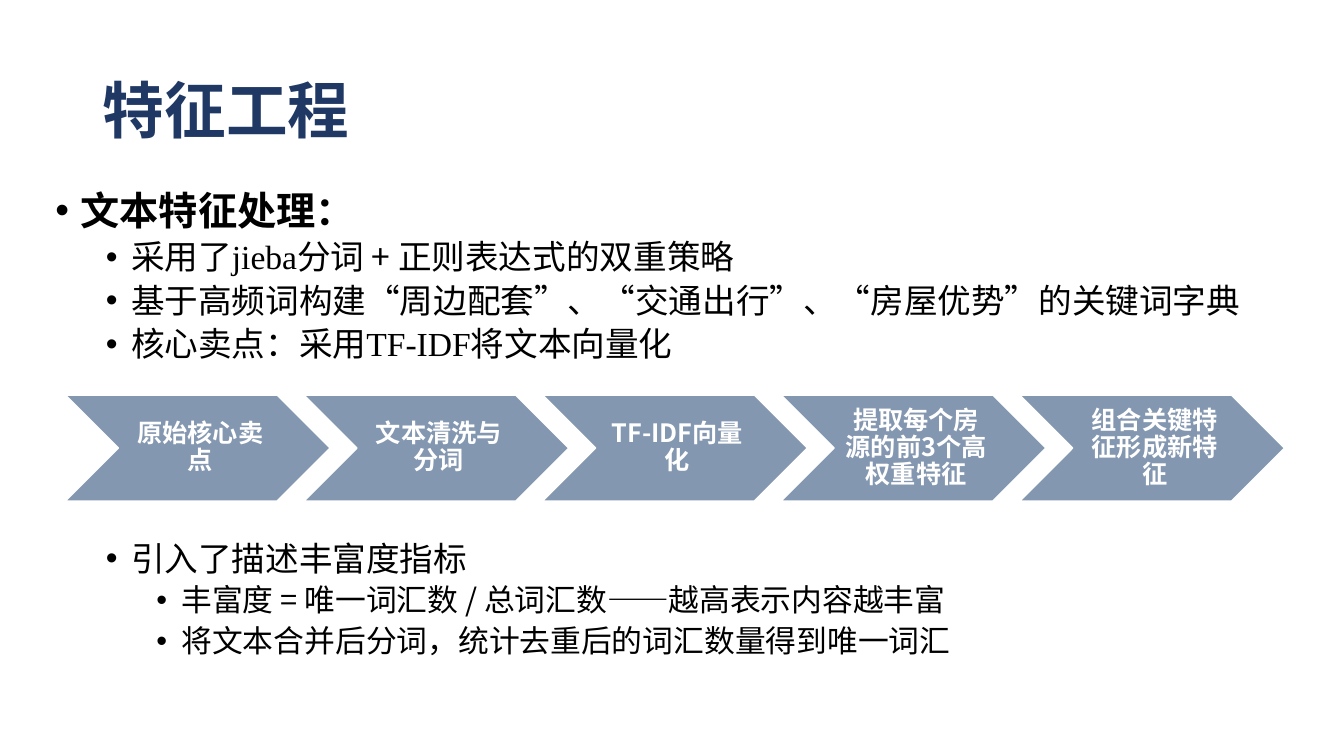
from lxml import etree
from pptx import Presentation
from pptx.dml.color import RGBColor
from pptx.enum import shapes, text
from pptx.oxml.ns import qn
from pptx.util import Inches, Pt

NAVY = RGBColor(0x20, 0x38, 0x64)
STEEL = RGBColor(0x84, 0x97, 0xB0)
BLACK = RGBColor(0, 0, 0)
WHITE = RGBColor(0xFF, 0xFF, 0xFF)
SANS = "Noto Sans CJK SC"
SERIF = "Times New Roman"
LINE_SPACING = 0.9

# Each point: level, text runs with their Latin font, space before in points
POINTS = [
    (0, [("文本特征处理：", SANS)], 10),
    (1, [("采用了", SANS), ("jieba", SERIF),
         ("分词 + 正则表达式的双重策略", SANS)], 5),
    (1, [("基于高频词构建“周边配套”、“交通出行”、“房屋优势”的关键词字典", SANS)], 5),
    (1, [("核心卖点：采用", SANS), ("TF-IDF", SERIF), ("将文本向量化", SANS)], 5),
    (1, [("引入了描述丰富度指标", SANS)], 127.5),  # leaves room for the flow
    (2, [("丰富度 = 唯一词汇数 / 总词汇数——越高表示内容越丰富", SANS)], 5),
    (2, [("将文本合并后分词，统计去重后的词汇数量得到唯一词汇", SANS)], 5),
]
LEVEL_SIZES = [28, 24, 22]
STEPS = ["原始核心卖点", "文本清洗与分词", "TF-IDF向量化",
         "提取每个房源的前3个高权重特征", "组合关键特征形成新特征"]


def add_text(paragraph, words, size, color=BLACK, bold=False, font=SANS):
    paragraph.line_spacing = LINE_SPACING
    run = paragraph.add_run()
    run.text = words
    run.font.size = Pt(size)
    run.font.bold = bold
    run.font.color.rgb = color
    run.font.name = font
    properties = run._r.get_or_add_rPr()
    properties.set("lang", "zh-CN")
    latin = properties.find(qn("a:latin"))
    east_asian = etree.Element(qn("a:ea"), typeface=SANS)
    latin.addnext(east_asian)


def place(part, left, top, width, height):
    part.left, part.top = Inches(left), Inches(top)
    part.width, part.height = Inches(width), Inches(height)


def set_bullet(paragraph, level):
    properties = paragraph._p.get_or_add_pPr()
    properties.set("marL", str(Inches(0.25 + 0.5 * level)))
    properties.set("indent", str(Inches(-0.25)))
    etree.SubElement(properties, qn("a:buFont"), typeface="Arial")
    etree.SubElement(properties, qn("a:buChar"), char="•")


def fill_heading(heading, left, top, width, height):
    place(heading, left, top, width, height)
    frame = heading.text_frame
    frame.auto_size = text.MSO_AUTO_SIZE.NONE
    frame.vertical_anchor = text.MSO_ANCHOR.MIDDLE
    paragraph = frame.paragraphs[0]
    paragraph.alignment = text.PP_ALIGN.LEFT
    add_text(paragraph, "特征工程", 44, NAVY, bold=True)


def fill_points(body, left, top, width, height):
    place(body, left, top, width, height)
    frame = body.text_frame
    frame.auto_size = text.MSO_AUTO_SIZE.NONE
    for index, (level, runs, space) in enumerate(POINTS):
        paragraph = frame.add_paragraph() if index else frame.paragraphs[0]
        paragraph.level = level
        paragraph.space_before = Pt(space)
        set_bullet(paragraph, level)
        for words, font in runs:
            add_text(paragraph, words, LEVEL_SIZES[level],
                     bold=level == 0, font=font)


def add_flow(slide, left, top, width, height):
    """Spread overlapping chevrons evenly, each 2.5 times as wide as high."""
    step_width = 2.5 * height
    pitch = (width - step_width) / (len(STEPS) - 1)
    for index, words in enumerate(STEPS):
        step = slide.shapes.add_shape(
            shapes.MSO_SHAPE.CHEVRON, Inches(left + index * pitch),
            Inches(top), Inches(step_width), Inches(height))
        step.shadow.inherit = False
        step.fill.solid()
        step.fill.fore_color.rgb = STEEL
        step.line.color.rgb = WHITE
        step.line.width = Pt(1)
        frame = step.text_frame
        frame.word_wrap = True
        frame.vertical_anchor = text.MSO_ANCHOR.MIDDLE
        frame.margin_left = Inches(0.08)
        frame.margin_top = frame.margin_right = frame.margin_bottom = Inches(0.03)
        paragraph = frame.paragraphs[0]
        paragraph.alignment = text.PP_ALIGN.CENTER
        add_text(paragraph, words, 18, WHITE, bold=True)


def main():
    deck = Presentation()
    deck.slide_width, deck.slide_height = Inches(13.33), Inches(7.5)
    slide = deck.slides.add_slide(deck.slide_layouts[1])
    fill_points(slide.placeholders[1], 0.45, 1.85, 12.3, 4.91)
    fill_heading(slide.shapes.title, 0.92, 0.4, 11.5, 1.45)
    add_flow(slide, 0.65, 3.92, 12.09, 1.05)
    deck.save("out.pptx")


if __name__ == "__main__":
    main()
